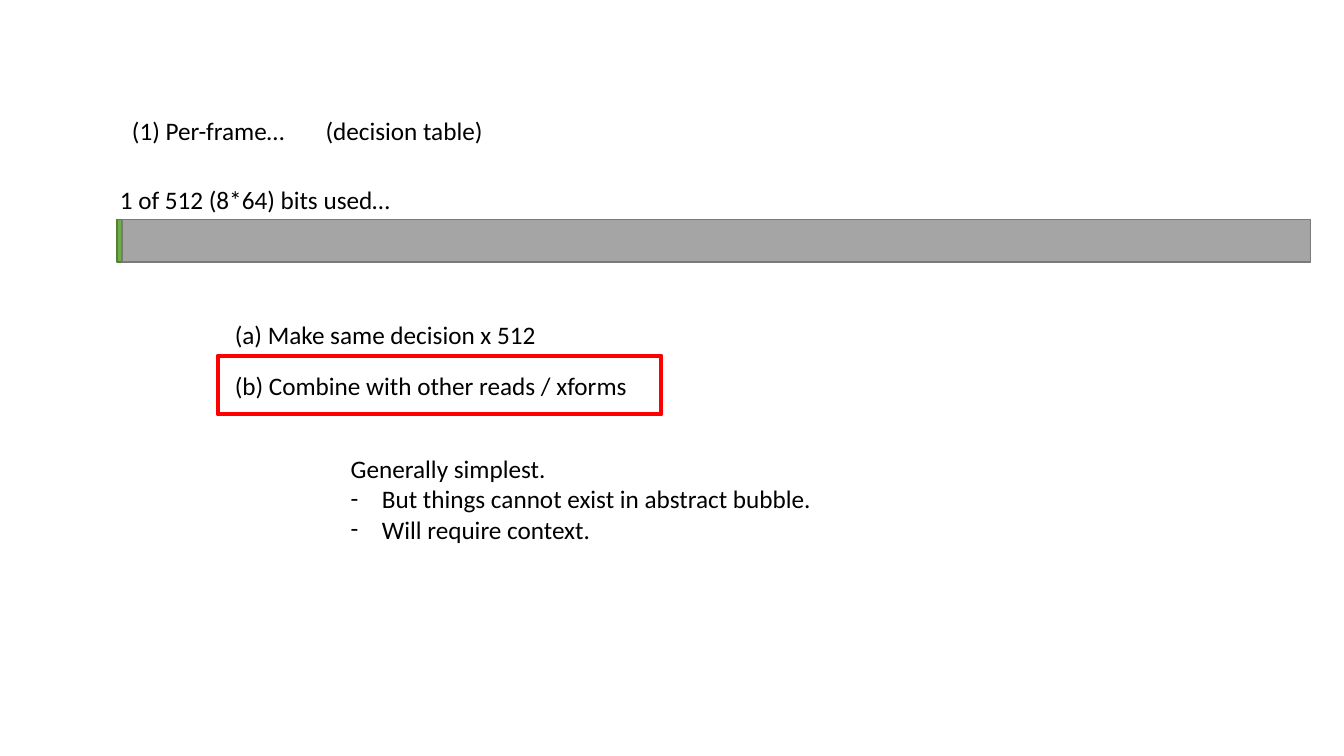
from lxml import etree
from pptx import Presentation
from pptx.dml.color import RGBColor
from pptx.enum.shapes import MSO_SHAPE
from pptx.enum.text import MSO_AUTO_SIZE
from pptx.oxml.ns import qn
from pptx.util import Inches, Pt

RECTANGLE = MSO_SHAPE.RECTANGLE
FIT_SHAPE = MSO_AUTO_SIZE.SHAPE_TO_FIT_TEXT
BLANK_LAYOUT = 6
FONT, FONT_SIZE, INK = "Calibri", 18, "000000"
LINE_HEIGHT = 0.4
BULLET_INDENT = 0.31

HEADING_TOP = 1.09
OPTION_LEFT = 2.23
BAR_TOP, BAR_HEIGHT = 2.18, 0.42
BAR_LEFT, USED_WIDTH, UNUSED_WIDTH = 1.16, 0.05, 11.79

LABELS = [
    ("(1) Per-frame…", 1.21, HEADING_TOP, 2.55, True),
    ("1 of 512 (8*64) bits used…", 1.09, 1.78, 2.93, False),
    ("(decision table)", 3.13, HEADING_TOP, 1.78, False),
    ("(a) Make same decision x 512", OPTION_LEFT, 3.12, 3.22, False),
    ("(b) Combine with other reads / xforms", OPTION_LEFT, 3.62, 4.42, True),
]
REMARK = "Generally simplest."
CAVEATS = ["But things cannot exist in abstract bubble.", "Will require context."]
BITS = [
    (BAR_LEFT, USED_WIDTH, "70AD47", "538035"),
    (BAR_LEFT + USED_WIDTH, UNUSED_WIDTH, "A5A5A5", "7A7A7A"),
]


def color(hex_value):
    return RGBColor.from_string(hex_value)


def add_box(left, top, width, height, fill, outline, weight):
    box = slide.shapes.add_shape(
        RECTANGLE, Inches(left), Inches(top), Inches(width), Inches(height))
    box.shadow.inherit = False
    if fill:
        box.fill.solid()
        box.fill.fore_color.rgb = color(fill)
    else:
        box.fill.background()
    box.line.color.rgb = color(outline)
    box.line.width = Pt(weight)


def add_text(lines, left, top, width, height, wrap):
    frame = slide.shapes.add_textbox(
        Inches(left), Inches(top), Inches(width), Inches(height)).text_frame
    frame.word_wrap = wrap
    frame.auto_size = FIT_SHAPE
    for index, line in enumerate(lines):
        paragraph = frame.add_paragraph() if index else frame.paragraphs[0]
        run = paragraph.add_run()
        run.text = line
        run.font.name = FONT
        run.font.size = Pt(FONT_SIZE)
        run.font.color.rgb = color(INK)
    return frame


def add_dash(paragraph):
    properties = paragraph._p.get_or_add_pPr()
    properties.set("marL", str(Inches(BULLET_INDENT)))
    properties.set("indent", str(-Inches(BULLET_INDENT)))
    etree.SubElement(properties, qn("a:buFont"), typeface=FONT)
    etree.SubElement(properties, qn("a:buChar"), char="-")


presentation = Presentation()
presentation.slide_width = Inches(13.33)
presentation.slide_height = Inches(7.5)
slide = presentation.slides.add_slide(presentation.slide_layouts[BLANK_LAYOUT])

for left, width, fill, outline in BITS:
    add_box(left, BAR_TOP, width, BAR_HEIGHT, fill, outline, 1)

for label, left, top, width, wrap in LABELS:
    add_text([label], left, top, width, LINE_HEIGHT, wrap)

add_box(2.16, 3.53, 4.4, 0.58, None, "FF0000", 3)

remarks = add_text([REMARK, *CAVEATS], 3.38, 4.45, 4.82, 1.01, False)
for caveat in remarks.paragraphs[1:]:
    add_dash(caveat)

presentation.save("out.pptx")
